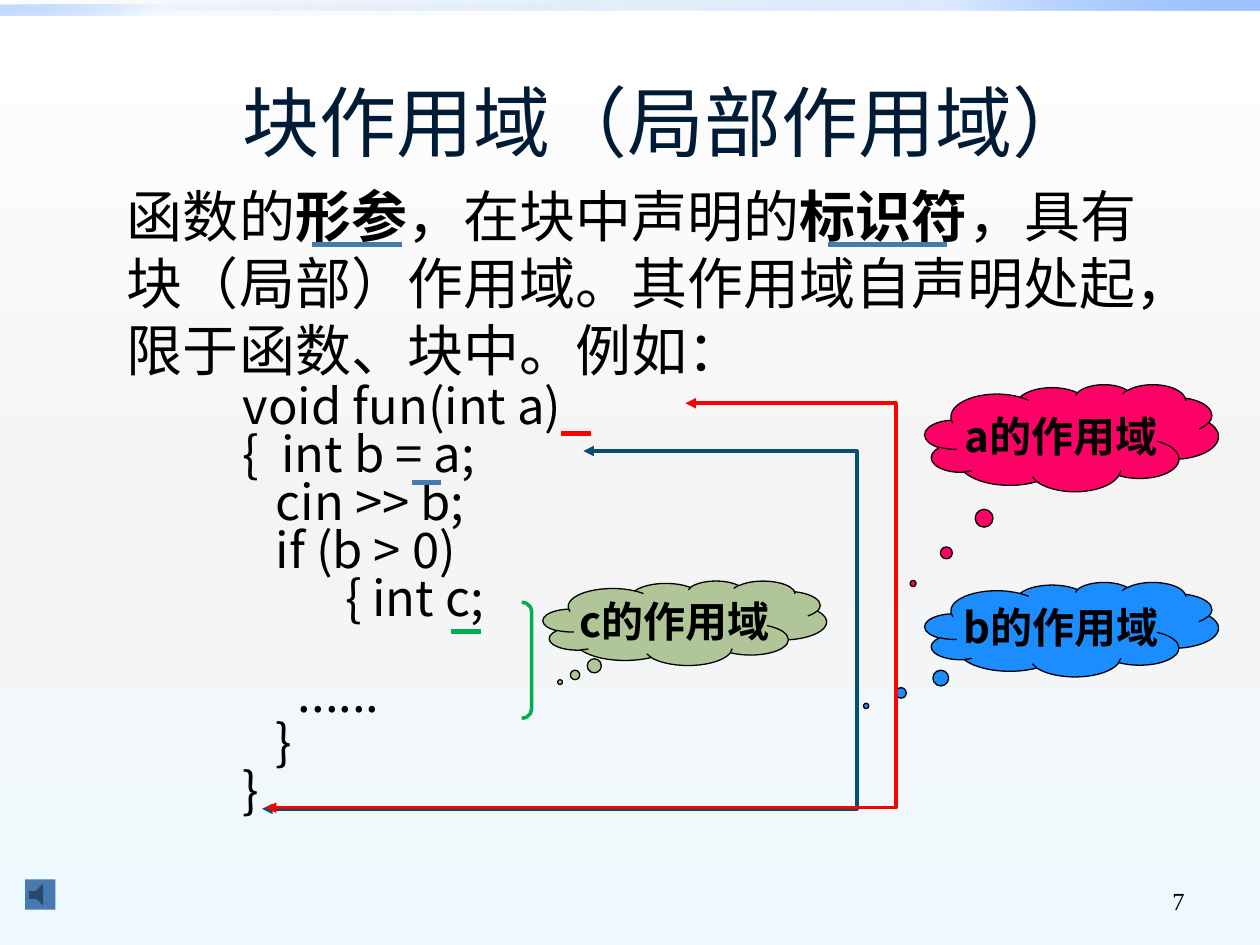
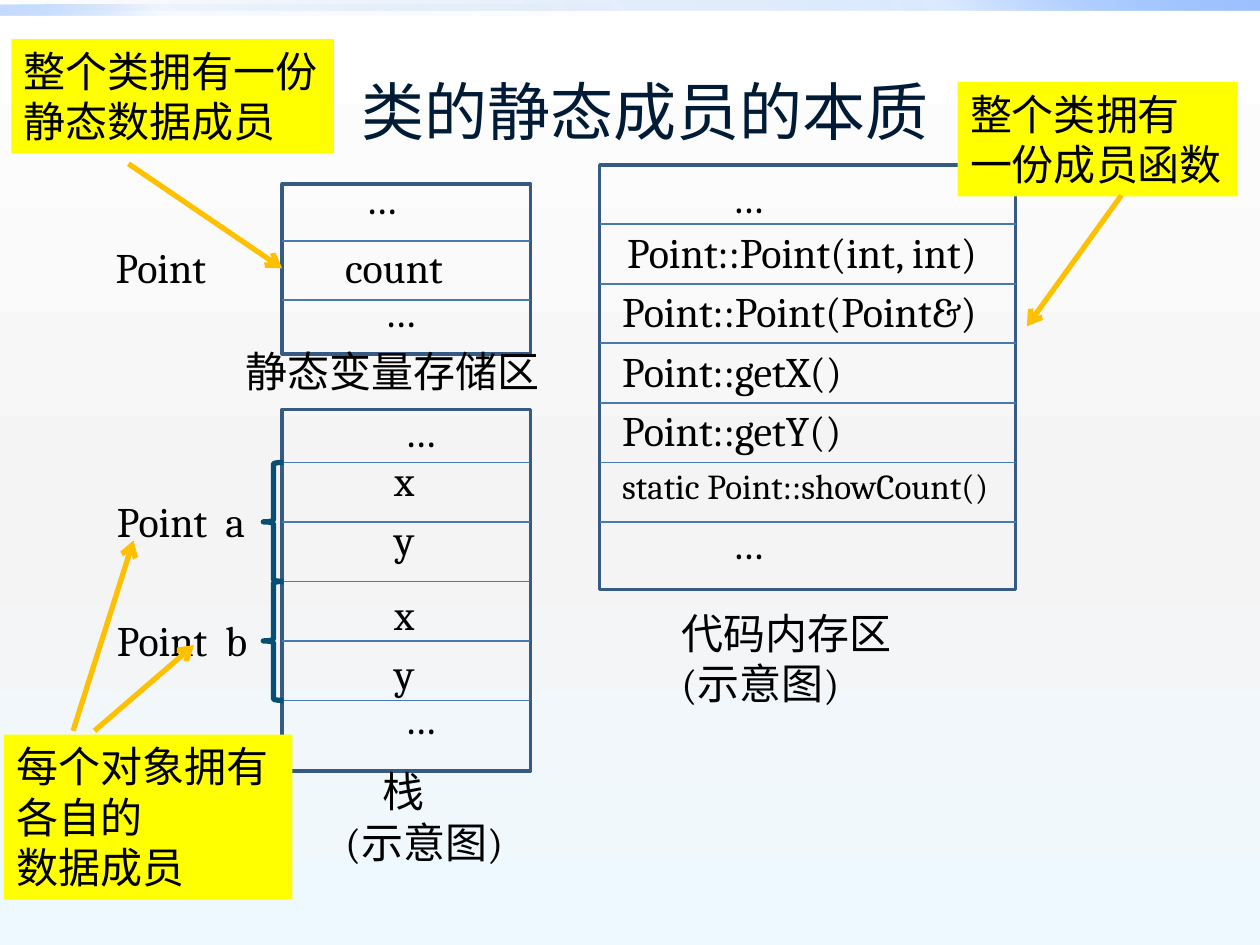
from lxml import etree
from pptx import Presentation
from pptx import util as u
from pptx.dml.color import RGBColor
from pptx.enum import shapes, text
from pptx.oxml.ns import nsdecls, qn

COLORS = {
    "black": "000000", "title": "001B36", "steel": "477AB1", "frame": "355A83",
    "navy": "064E74", "red": "FF0000", "green": "00B050", "note": "FFFF00",
    "arrow": "FFC000", "scope_a": "FF0066", "scope_b": "1B8DFF", "scope_c": "B0C598",
}
BACKDROP = [(0, "FFFFFF", 100), (55, "F4F4F4", 100), (100, "EEF9FF", 100)]
BANDS = [  # box, gradient stops (position, colour, opacity), angle
    ((0, 0, 10, 0.08), [(0, "0058B7", 0), (75, "4F95FF", 20), (100, "9EC2FF", 100)], 315),
    ((0, 0.04, 5, 0.08), [(0, "0058B7", 0), (75, "4F95FF", 5), (100, "9EC2FF", 60)], 135),
]
SHAPE = shapes.MSO_SHAPE
LEFT, CENTER, RIGHT = text.PP_ALIGN.LEFT, text.PP_ALIGN.CENTER, text.PP_ALIGN.RIGHT
TOP, MIDDLE = text.MSO_ANCHOR.TOP, text.MSO_ANCHOR.MIDDLE
SANS, SERIF = "Noto Sans CJK SC", "Cambria"


def add_figure(page, kind, place, lines=(), size=24, face=SERIF, color="black", fill=None,
               line=None, width=1, align=LEFT, anchor=TOP, wrap=True, bold=None):
    """Add a preset shape, or a text box if kind is None; ** marks bold words."""
    place = [u.Inches(n) for n in place]
    if kind is None:
        box = page.shapes.add_textbox(*place)
    else:
        box = page.shapes.add_shape(kind, *place)
        box.shadow.inherit = False
        box.fill.background()
        box.line.fill.background()
    if fill:
        box.fill.solid()
        box.fill.fore_color.rgb = RGBColor.from_string(COLORS[fill])
    if line:
        box.line.color.rgb = RGBColor.from_string(COLORS[line])
        box.line.width = u.Pt(width)
    frame = box.text_frame
    frame.word_wrap = wrap
    frame.vertical_anchor = anchor
    for number, words in enumerate(lines):
        para = frame.add_paragraph() if number else frame.paragraphs[0]
        para.alignment = align
        para.font.size = u.Pt(size)
        para.font.name = face
        para.font.bold = bold
        para.font.color.rgb = RGBColor.from_string(COLORS[color])
        for part, piece in enumerate(words.split("**")):
            span = para.add_run()
            span.text = piece
            if part % 2:
                span.font.bold = True
    return box


def add_line(page, start, end, color, width, arrow=False):
    line = page.shapes.add_connector(shapes.MSO_CONNECTOR.STRAIGHT,
                                     *[u.Inches(n) for n in (*start, *end)])
    line.line.color.rgb = RGBColor.from_string(COLORS[color])
    line.line.width = u.Pt(width)
    if arrow:
        etree.SubElement(line.line._get_or_add_ln(), qn("a:tailEnd"), type="arrow")
    etree.SubElement(line._element.spPr, qn("a:effectLst"))


deck = Presentation()
deck.slide_width, deck.slide_height = u.Inches(10), u.Inches(7.5)

# Shared background, bands and titles
pages = []
for heading, place, size in [("块作用域（局部作用域）", (1.33, 0.5, 7.92, 0.92), 44),
                             ("类的静态成员的本质", (0.75, 0.52, 8.74, 0.71), 36)]:
    page = deck.slides.add_slide(deck.slide_layouts[6])
    pages.append(page)
    gradients = [(page.background.fill, page._element, BACKDROP, 90)]
    for band_place, stops, angle in BANDS:
        band = add_figure(page, SHAPE.RECTANGLE, band_place)
        gradients.append((band.fill, band._element, stops, angle))
    for fill, owner, stops, angle in gradients:
        fill.gradient()
        marks = "".join(
            f'<a:gs pos="{pos * 1000}"><a:srgbClr val="{color}">'
            f'<a:alpha val="{opacity * 1000}"/></a:srgbClr></a:gs>'
            for pos, color, opacity in stops)
        blend = etree.fromstring(
            f'<a:gradFill {nsdecls("a")} rotWithShape="1"><a:gsLst>{marks}</a:gsLst>'
            f'<a:lin ang="{angle * 60000}" scaled="0"/></a:gradFill>')
        plain = next(owner.iter(qn("a:gradFill")))
        plain.getparent().replace(plain, blend)
    add_figure(page, None, place, [heading], size, "Roboto", "title",
               align=CENTER, anchor=MIDDLE)
scope_page, static_page = pages

# Block scope
add_figure(scope_page, None, (0.91, 1.39, 8.46, 1.72),
           ["函数的**形参**，在块中声明的**标识符**，具有块（局部）作用域。"
            "其作用域自声明处起，限于函数、块中。例如："], 32, SANS)
code = ["void fun(int a)", "{  int b = a;", "   cin >> b;", "   if (b > 0)",
        "\t\t{ int c;", "     ......", "   }", "}"]
listing = add_figure(scope_page, None, (1.33, 3.02, 7.92, 3.78), code, 28, SANS)
for para in listing.text_frame.paragraphs:
    para.line_spacing = u.Pt(27.4)
    if "......" in para.text:
        para.space_before = u.Pt(27.4)
    layout = para._p.get_or_add_pPr()
    layout.set("marL", str(u.Inches(0.81)))
    layout.set("indent", str(u.Inches(-0.31)))
add_figure(scope_page, None, (7.17, 6.95, 2.33, 0.4), ["7"], 14, "Times New Roman",
           align=RIGHT, anchor=MIDDLE)
add_figure(scope_page, SHAPE.ACTION_BUTTON_SOUND, (0.2, 6.98, 0.24, 0.24), fill="steel")

bracket = add_figure(scope_page, SHAPE.RIGHT_BRACKET, (4.14, 4.78, 0.08, 0.92),
                     line="green", width=2)
bracket.adjustments[0] = 0.92

scopes = [  # name, cloud, pointer, route colour, route
    ("c", (4.31, 4.61, 2.25, 0.67), (-0.44, 0.7), None, ()),
    ("b", (7.34, 4.62, 2.33, 0.75), (-0.7, 0.81), "navy",
     [(4.63, 3.58), (6.8, 3.58), (6.8, 6.42), (2.08, 6.42)]),
    ("a", (7.34, 3.05, 2.33, 0.85), (-0.54, 1.36), "red",
     [(5.44, 3.2), (7.11, 3.2), (7.11, 6.41), (2.11, 6.41)]),
]
for name, place, pointer, color, route in scopes:
    if route:
        points = [(u.Inches(x), u.Inches(y)) for x, y in route]
        builder = scope_page.shapes.build_freeform(*points[0])
        builder.add_line_segments(points[1:], close=False)
        extent = builder.convert_to_shape()
        extent.shadow.inherit = False
        extent.fill.background()
        extent.line.color.rgb = RGBColor.from_string(COLORS[color])
        extent.line.width = u.Pt(2)
        for end in ("a:headEnd", "a:tailEnd"):
            etree.SubElement(extent.line._get_or_add_ln(), qn(end), type="triangle")
    cloud = add_figure(scope_page, SHAPE.CLOUD_CALLOUT, place, [f"{name}的作用域"], 24, SANS,
                       fill=f"scope_{name}", line="black", width=0.75,
                       align=CENTER, anchor=MIDDLE, wrap=False, bold=True)
    cloud.adjustments[0], cloud.adjustments[1] = pointer

for left, right, y, color in [(2.48, 3.19, 1.94, "steel"), (6.57, 7.52, 1.94, "steel"),
                              (4.45, 4.69, 3.44, "red"), (3.27, 3.5, 3.83, "steel"),
                              (3.58, 3.82, 5.01, "green")]:
    add_line(scope_page, (left, y), (right, y), color, 3)

# Static members: memory areas
ROW = 1.89 / 4
for left, top, width, height, first_rule, rules in [
        (2.24, 3.25, 1.97, 2.87, 3.67, 5),
        (4.76, 1.31, 3.3, 3.37, 1.78, 6),
        (2.24, 1.46, 1.97, 1.35, 1.91, 2)]:
    add_figure(static_page, SHAPE.RECTANGLE, (left, top, width, height),
               line="frame", width=2)
    for number in range(rules):
        y = first_rule + number * ROW
        add_line(static_page, (left, y), (left + width, y), "steel", 1)

labels = [
    ("x", 3.03, 3.56, 0.87), ("y", 3.03, 4.03, 0.87),
    ("x", 3.03, 4.62, 0.87), ("y", 3.03, 5.09, 0.87),
    ("…", 3.11, 3.17, 0.87), ("…", 3.11, 5.45, 0.87),
    ("…", 5.71, 1.31, 1.45), ("…", 5.71, 4.06, 1.45),
    ("…", 2.8, 1.32, 0.87), ("…", 2.95, 2.22, 0.87),
    ("count", 2.64, 1.87, 1.42), ("Point", 0.82, 1.87, 1.1),
    ("静态变量存储区", 1.85, 2.69, 2.6), ("代码内存区(示意图)", 5.31, 4.77, 2.2),
    ("Point::Point(int, int)", 4.88, 1.75, 3.7),
]
members = ["Point::Point(Point&)", "Point::getX()", "Point::getY()"]
labels += [(member, 4.84, 2.22 + number * ROW, 3.7) for number, member in enumerate(members)]
for words, left, top, width in labels:
    add_figure(static_page, None, (left, top, width, 0.5), [words])
add_figure(static_page, None, (4.84, 3.64, 4.13, 0.44), ["static Point::showCount()"], 20)
stack = add_figure(static_page, None, (2.64, 6.03, 1.65, 0.91), ["栈", "(示意图)"])
stack.text_frame.paragraphs[0]._p.get_or_add_pPr().set("marL", str(u.Inches(0.3)))

for number, name in enumerate("ab"):
    top = 3.67 + 2 * number * ROW
    add_figure(static_page, SHAPE.LEFT_BRACE, (2.09, top, 0.16, 2 * ROW),
               line="navy", width=3)
    label = add_figure(static_page, None, (0.83, top + 0.21, 1.5, 0.5), [f"Point\t{name}"])
    layout = label.text_frame.paragraphs[0]._p.get_or_add_pPr()
    tabs = etree.Element(qn("a:tabLst"))
    etree.SubElement(tabs, qn("a:tab"), pos=str(u.Inches(0.86)), algn="l")
    layout.insert(0, tabs)

# Static members: notes and their arrows
notes = [
    ((0.03, 5.83, 2.29, 1.31), ["每个对象拥有", "各自的", "数据成员"], True,
     [((0.75, 5.8), (1.54, 5.12)), ((0.58, 5.8), (1.06, 4.29))]),
    ((0.09, 0.31, 2.56, 0.91), ["整个类拥有一份", "静态数据成员"], False,
     [((1.02, 1.3), (2.24, 2.13))]),
    ((7.6, 0.65, 2.22, 0.91), ["整个类拥有", "一份成员函数"], False,
     [((8.9, 1.55), (8.15, 2.59))]),
]
for place, lines, wrap, arrows in notes:
    add_figure(static_page, SHAPE.RECTANGLE, place, lines, fill="note", wrap=wrap)
    for start, end in arrows:
        add_line(static_page, start, end, "arrow", 3, arrow=True)

deck.save("out.pptx")
